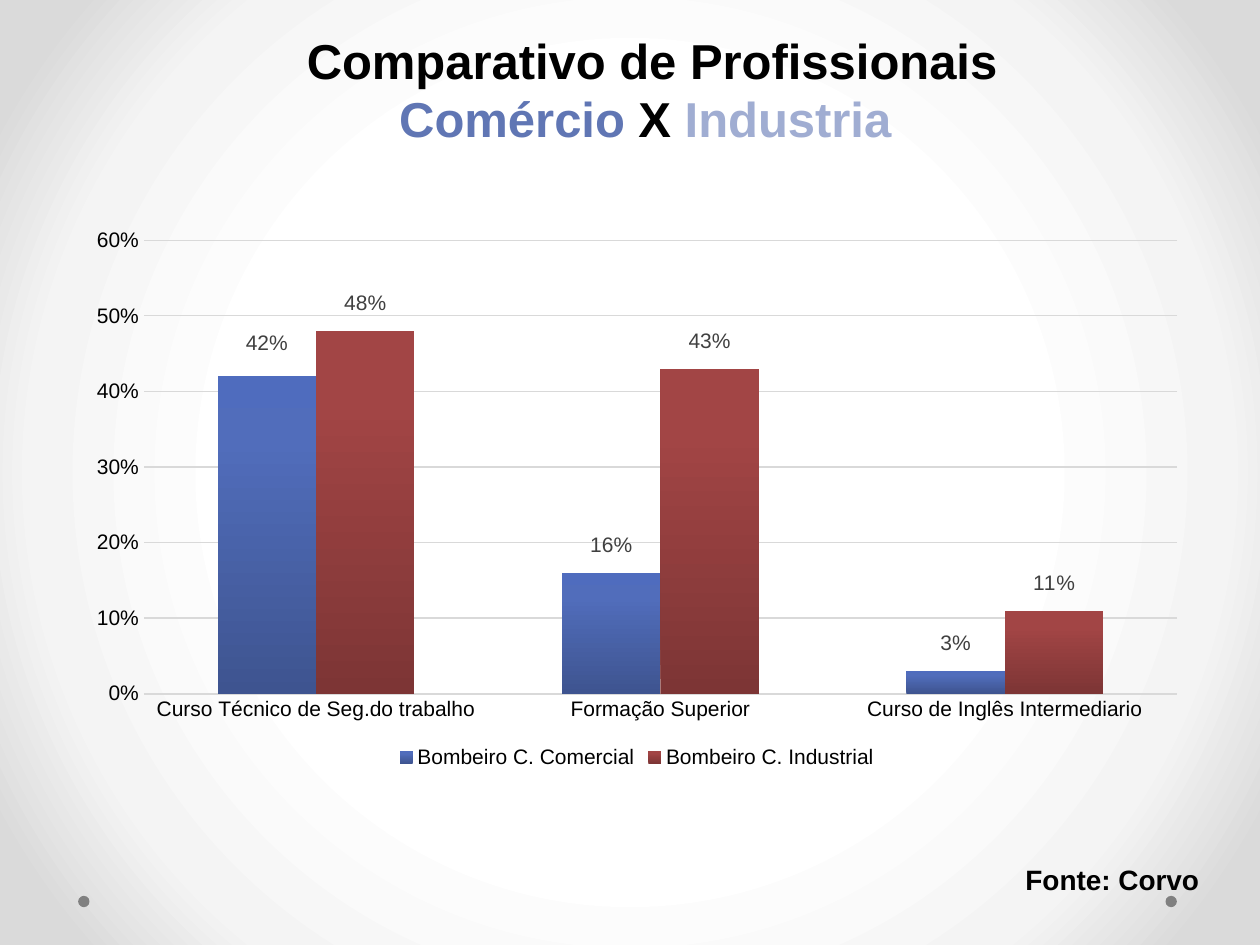
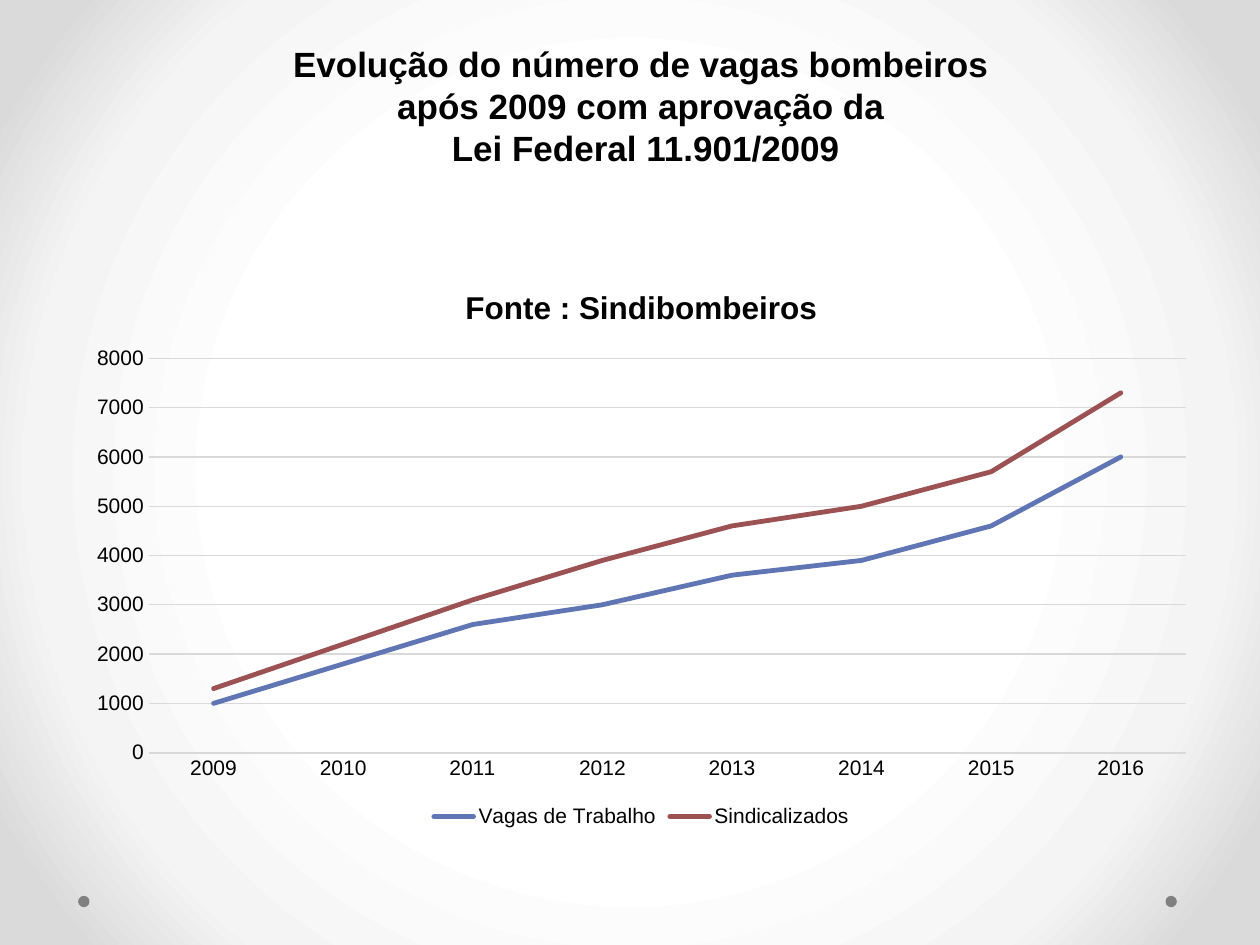
"""Build two slides with charts about firefighter jobs."""
import dataclasses
import typing

import lxml.etree
import pptx
import pptx.chart.data
import pptx.dml.color
import pptx.enum.chart
import pptx.enum.shapes
import pptx.enum.text
import pptx.oxml.ns
import pptx.util

Inches = pptx.util.Inches
Pt = pptx.util.Pt
RGBColor = pptx.dml.color.RGBColor
ChartType = pptx.enum.chart.XL_CHART_TYPE
qn = pptx.oxml.ns.qn

BLACK = RGBColor(0x00, 0x00, 0x00)
DOT_GRAY = RGBColor(0x80, 0x80, 0x80)
LABEL_GRAY = RGBColor(0x40, 0x40, 0x40)
GRID_GRAY = RGBColor(0xD9, 0xD9, 0xD9)
BLUE = RGBColor(0x60, 0x76, 0xB4)
PALE_BLUE = RGBColor(0xA0, 0xAD, 0xD2)
RED = RGBColor(0x9C, 0x52, 0x52)

Stops = tuple[tuple[int, RGBColor], ...]
BACKDROP: Stops = (
    (50, RGBColor(0xFF, 0xFF, 0xFF)), (76, RGBColor(0xF4, 0xF4, 0xF4)), (92, RGBColor(0xDA, 0xDA, 0xDA)))
BLUE_BAR: Stops = (
    (0, RGBColor(0x3E, 0x54, 0x90)), (80, RGBColor(0x51, 0x6D, 0xBB)), (100, RGBColor(0x4F, 0x6C, 0xBE)))
RED_BAR: Stops = (
    (0, RGBColor(0x7D, 0x35, 0x35)), (80, RGBColor(0xA2, 0x45, 0x45)), (100, RGBColor(0xA4, 0x43, 0x43)))

FONT = "Arial"
CHART_TEXT = {"name": FONT, "size": Pt(12), "bold": False}
DOT_LEFTS = (0.62, 9.25)
DOT_TOP, DOT_SIZE = 7.11, 0.09


class Span(typing.NamedTuple):
    """A piece of text in one colour."""
    text: str
    color: RGBColor = BLACK


class Frame(typing.NamedTuple):
    """A place on the slide, in inches."""
    left: float
    top: float
    width: float
    height: float

    def lengths(self) -> list[int]:
        """Return the four lengths for a shape call."""
        return [Inches(value) for value in self]


@dataclasses.dataclass(frozen=True)
class TextBlock:
    """A bold text box made of lines of spans."""
    frame: Frame
    size: int
    lines: tuple[tuple[Span, ...], ...]
    centered: bool = True


@dataclasses.dataclass(frozen=True)
class Series:
    """A named row of chart values, its paint and its label offsets."""
    name: str
    values: tuple[float, ...]
    paint: typing.Any
    label_rises: tuple[float, ...] = ()


@dataclasses.dataclass(frozen=True)
class ChartBlock:
    """A chart with its data and value scale."""
    kind: ChartType
    frame: Frame
    categories: tuple[str, ...]
    series: tuple[Series, ...]
    number_format: str
    maximum: float
    step: float
    title: str = ""


HEADING_COMPARISON = TextBlock(Frame(2.15, 0.19, 6.05, 1.04), 28, (
    (Span("Comparativo de Profissionais"),),
    (Span("Comércio", BLUE), Span(" X "), Span("Industria ", PALE_BLUE)),
))
SOURCE_NOTE = TextBlock(Frame(8.04, 6.8, 1.59, 0.37), 16, ((Span("Fonte: Corvo"),),), False)
HEADING_EVOLUTION = TextBlock(Frame(1.82, 0.29, 6.61, 1.11), 20, (
    (Span("Evolução do número de vagas bombeiros "),),
    (Span("após 2009 com aprovação da "),),
    (Span("Lei Federal 11.901/2009"),),
))
TRAINING_CHART = ChartBlock(
    ChartType.COLUMN_CLUSTERED, Frame(0.59, 1.73, 8.93, 4.41),
    ("Curso Técnico de Seg.do trabalho", "Formação Superior", "Curso de Inglês Intermediario"),
    (Series("Bombeiro C. Comercial", (0.42, 0.16, 0.03), BLUE_BAR, (0.03, 0.02, 0.02)),
     Series("Bombeiro C. Industrial", (0.48, 0.43, 0.11), RED_BAR, (0.02, 0.02, 0.02))),
    "0%", 0.6, 0.1)
JOBS_CHART = ChartBlock(
    ChartType.LINE_STACKED, Frame(0.59, 2.09, 9, 4.52),
    tuple(str(year) for year in range(2009, 2017)),
    (Series("Vagas de Trabalho", (1000, 1800, 2600, 3000, 3600, 3900, 4600, 6000), BLUE),
     Series("Sindicalizados", (300, 400, 500, 900, 1000, 1100, 1100, 1300), RED)),
    "General", 8000, 1000, "Fonte : Sindibombeiros")


def apply(target: typing.Any, values: dict[str, typing.Any]) -> None:
    """Set each named attribute on the target."""
    for name, value in values.items():
        setattr(target, name, value)


def style_font(font: typing.Any, color: RGBColor = BLACK, **values: typing.Any) -> None:
    """Give a font the chart text format, with changes."""
    apply(font, CHART_TEXT | values)
    font.color.rgb = color


def set_gradient(gradient: typing.Any, stops: Stops, circular: bool = False) -> None:
    """Fill a gradient element with stops and a direction."""
    for child in list(gradient):
        gradient.remove(child)
    stop_list = lxml.etree.SubElement(gradient, qn("a:gsLst"))
    for position, color in stops:
        stop = lxml.etree.SubElement(stop_list, qn("a:gs"), pos=str(position * 1000))
        lxml.etree.SubElement(stop, qn("a:srgbClr"), val=str(color))
    if circular:
        direction = lxml.etree.SubElement(gradient, qn("a:path"), attrib={"path": "circle"})
        sides = dict.fromkeys("ltrb", "50000")
        lxml.etree.SubElement(direction, qn("a:fillToRect"), attrib=sides)
    else:
        lxml.etree.SubElement(gradient, qn("a:lin"), ang="16200000", scaled="0")


def raise_label(label: typing.Any, rise: float) -> None:
    """Move a data label up by a fraction of the chart height."""
    layout = lxml.etree.Element(qn("c:layout"))
    manual = lxml.etree.SubElement(layout, qn("c:manualLayout"))
    for name, value in (("x", 0), ("y", -rise)):
        lxml.etree.SubElement(manual, qn(f"c:{name}"), val=str(value))
    label.insert(1, layout)


def add_text(page: typing.Any, block: TextBlock) -> None:
    """Draw a bold text box."""
    box = page.shapes.add_textbox(*block.frame.lengths())
    box.text_frame.word_wrap = block.centered
    para = box.text_frame.paragraphs[0]
    if block.centered:
        para.alignment = pptx.enum.text.PP_ALIGN.CENTER
    for number, line in enumerate(block.lines):
        if number:
            para.add_line_break()
        for piece in line:
            span = para.add_run()
            span.text = piece.text
            style_font(span.font, piece.color, size=Pt(block.size), bold=True)


def style_axes(chart: typing.Any, block: ChartBlock) -> None:
    """Format both axes and the grid lines."""
    for axis in (chart.category_axis, chart.value_axis):
        apply(axis, {"major_tick_mark": pptx.enum.chart.XL_TICK_MARK.NONE,
                     "minor_tick_mark": pptx.enum.chart.XL_TICK_MARK.NONE})
        style_font(axis.tick_labels.font)
    apply(chart.value_axis, {"minimum_scale": 0, "maximum_scale": block.maximum, "major_unit": block.step,
                             "has_major_gridlines": True})
    apply(chart.value_axis.tick_labels, {"number_format": block.number_format,
                                         "number_format_is_linked": False})
    chart.value_axis.format.line.fill.background()
    for lines, width in ((chart.category_axis.format.line, 1),
                         (chart.value_axis.major_gridlines.format.line, 0.75)):
        lines.color.rgb = GRID_GRAY
        lines.width = Pt(width)


def style_columns(chart: typing.Any, block: ChartBlock) -> None:
    """Paint the columns and label every value."""
    plot = chart.plots[0]
    apply(plot, {"gap_width": 150, "overlap": 0, "vary_by_categories": False})
    for series, row in zip(plot.series, block.series):
        series.format.fill.gradient()
        set_gradient(next(series._element.iter(qn("a:gradFill"))), row.paint)
        for index in range(len(row.values)):
            label = series.points[index].data_label
            label.position = pptx.enum.chart.XL_LABEL_POSITION.OUTSIDE_END
            style_font(label.font, LABEL_GRAY)
        for label, rise in zip(series._element.iter(qn("c:dLbl")), row.label_rises):
            raise_label(label, rise)
        for leader in series._element.iter(qn("c:showLeaderLines")):
            leader.set("val", "0")


def style_lines(chart: typing.Any, block: ChartBlock) -> None:
    """Paint the round-capped lines of a line chart."""
    chart.plots[0].vary_by_categories = False
    for series, row in zip(chart.plots[0].series, block.series):
        series.smooth = False
        series.format.line.color.rgb = row.paint
        series.format.line.width = Pt(2.75)
        next(series._element.iter(qn("a:ln"))).set("cap", "rnd")


def add_chart(page: typing.Any, block: ChartBlock) -> None:
    """Draw a chart with axes, legend and optional title."""
    data = pptx.chart.data.CategoryChartData(number_format=block.number_format)
    data.categories = block.categories
    for row in block.series:
        data.add_series(row.name, row.values)
    chart = page.shapes.add_chart(block.kind, *block.frame.lengths(), data).chart
    style_font(chart.font)
    apply(chart, {"has_legend": True, "has_title": bool(block.title)})
    apply(chart.legend, {"position": pptx.enum.chart.XL_LEGEND_POSITION.BOTTOM, "include_in_layout": False})
    style_font(chart.legend.font)
    style_axes(chart, block)
    if block.kind == ChartType.COLUMN_CLUSTERED:
        style_columns(chart, block)
    else:
        style_lines(chart, block)
    if block.title:
        span = chart.chart_title.text_frame.paragraphs[0].add_run()
        span.text = block.title
        style_font(span.font, size=Pt(18), bold=True)


def add_page(deck: typing.Any) -> typing.Any:
    """Add a blank slide with the two footer dots."""
    page = deck.slides.add_slide(deck.slide_layouts[6])
    for left in DOT_LEFTS:
        dot = page.shapes.add_shape(pptx.enum.shapes.MSO_SHAPE.OVAL,
                                    *Frame(left, DOT_TOP, DOT_SIZE, DOT_SIZE).lengths())
        dot.shadow.inherit = False
        dot.fill.solid()
        dot.fill.fore_color.rgb = DOT_GRAY
        dot.line.fill.background()
    return page


def main() -> None:
    """Build and save the deck."""
    deck = pptx.Presentation()
    apply(deck, {"slide_width": Inches(10), "slide_height": Inches(7.5)})
    master = deck.slide_master
    master.background.fill.gradient()
    set_gradient(next(master.element.iter(qn("a:gradFill"))), BACKDROP, circular=True)
    for blocks, chart in (((HEADING_COMPARISON, SOURCE_NOTE), TRAINING_CHART),
                          ((HEADING_EVOLUTION,), JOBS_CHART)):
        page = add_page(deck)
        for block in blocks:
            add_text(page, block)
        add_chart(page, chart)
    deck.save("out.pptx")


if __name__ == "__main__":
    main()
